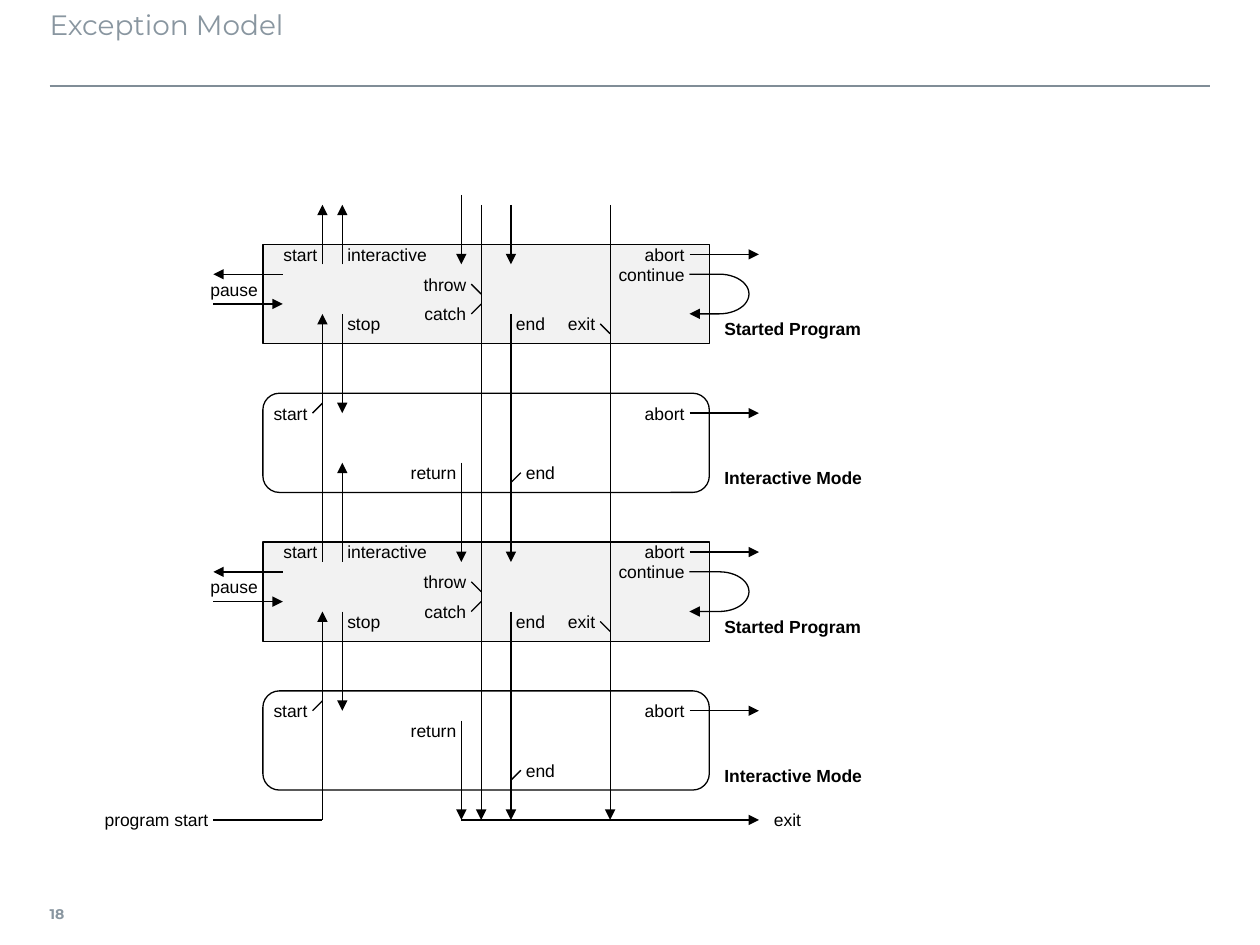
from math import cos, pi, sin

from lxml import etree
from pptx import Presentation, util as u
from pptx.dml.color import RGBColor
from pptx.enum import shapes, text
from pptx.oxml.ns import qn

W, H = u.Inches(10), u.Inches(7.5)
UNIT = W / 127            # grid step of the diagram
LEFT, TOP = 26.5, 24.64   # first box, in grid steps
COLS, ROWS = 45, 10       # size of each box
PITCH = 15                # rows from one box to the next
END = 58                  # row of the exit line
EDGE = W // 127 * 5       # side margin of the slide
INK, GREY, RULE, PALE = "000000", "8996A0", "808D97", "F2F2F2"
RIGHT, SIDE = text.PP_ALIGN.RIGHT, text.PP_ALIGN.LEFT


def color(code):
    return RGBColor.from_string(code)


def spot(box, col, row):
    """Turn a column and row of a box into slide units."""
    return round((box[0] + col) * UNIT), round((box[1] + row) * UNIT)


def style(part, width=0.75, code=INK, arrow=False):
    part.line.width = u.Pt(width)
    part.line.color.rgb = color(code)
    if arrow:
        tip = etree.SubElement(part.line._get_or_add_ln(), qn("a:tailEnd"))
        tip.set("type", "triangle")


def wire(slide, start, end, arrow=True, width=0.75, code=INK):
    line = slide.shapes.add_connector(
        shapes.MSO_CONNECTOR.STRAIGHT, *start, *end)
    style(line, width, code, arrow)
    etree.SubElement(line._element.spPr, qn("a:effectLst"))


def wires(slide, box, rows, arrow=True):
    for x1, y1, x2, y2 in rows:
        wire(slide, spot(box, x1, y1), spot(box, x2, y2), arrow)


def write(frame, words, size, font, code, pads, bold=None, align=SIDE):
    frame.margin_left, frame.margin_top, frame.margin_right, \
        frame.margin_bottom = [u.Inches(pad) for pad in pads]
    frame.text = words
    para = frame.paragraphs[0]
    para.alignment = align
    para.font.size, para.font.name = u.Pt(size), font
    para.font.bold = bold
    para.font.color.rgb = color(code)


def label(slide, box, words, col, row, align=SIDE, high=2, bold=None):
    """One line of text that starts, or ends if right-aligned, at col."""
    wide = max(5, 0.9 * len(words) + 2)
    if align == RIGHT:
        col -= wide
    area = slide.shapes.add_textbox(
        *spot(box, col, row), round(wide * UNIT), round(high * UNIT))
    frame = area.text_frame
    write(frame, words, 10, "Arial", INK, [0.04] * 4, bold, align)
    frame.word_wrap = False
    frame.vertical_anchor = text.MSO_ANCHOR.MIDDLE


def labels(slide, box, rows):
    for row in rows:
        label(slide, box, *row)


def panel(slide, box, kind, name, fill=None):
    """Outline of one state, with its name at the lower right."""
    part = slide.shapes.add_shape(
        kind, *spot(box, 0, 0), round(COLS * UNIT), round(ROWS * UNIT))
    part.shadow.inherit = False
    if fill:
        part.fill.solid()
        part.fill.fore_color.rgb = color(fill)
    else:
        part.fill.background()
    style(part)
    label(slide, box, name, 46, 7, high=3, bold=True)


def loop(slide, box):
    """Arrow that leaves at continue and comes back."""
    arc = [(46 + 3 * sin(pi * i / 24), 5 - 2 * cos(pi * i / 24))
           for i in range(25)]
    build = slide.shapes.build_freeform(*spot(box, 43, 3))
    build.add_line_segments(
        [spot(box, *point) for point in arc + [(43, 7)]], close=False)
    part = build.convert_to_shape()
    part.shadow.inherit = False
    part.fill.background()
    style(part, arrow=True)


def program(slide, box):
    panel(slide, box, shapes.MSO_SHAPE.RECTANGLE, "Started Program", PALE)
    labels(slide, box, [
        ("start", 6, 0, RIGHT), ("interactive", 8, 0),
        ("abort", 43, 0, RIGHT), ("continue", 43, 2, RIGHT),
        ("throw", 21, 3, RIGHT), ("catch", 21, 6, RIGHT),
        ("stop", 8, 7), ("end", 25, 7), ("exit", 34, 7, RIGHT),
        ("pause", 0, 3, RIGHT, 3)])
    wires(slide, box, [(43, 1, 50, 1), (2, 3, -5, 3), (-5, 6, 2, 6),
                       (8, 7, 8, 17)])
    wires(slide, box, [(22, 5, 21, 4), (21, 7, 22, 6), (35, 9, 34, 8)], False)
    loop(slide, box)


def mode(slide, box, back):
    """Interactive state; back is the row of its return label."""
    panel(slide, box, shapes.MSO_SHAPE.ROUNDED_RECTANGLE, "Interactive Mode")
    labels(slide, box, [
        ("start", 5, 1, RIGHT), ("abort", 43, 1, RIGHT),
        ("return", 20, back, RIGHT), ("end", 26, 7)])
    wires(slide, box, [(43, 2, 50, 2)])
    wires(slide, box, [(5, 2, 6, 1), (25, 9, 26, 8)], False)


def links(slide, box):
    """Arrows that run between the states."""
    lanes = [
        (6, [(2, -4), (32, 7), (END, 37)]),             # start
        (8, [(2, -4), (32, 22)]),                       # interactive
        (20, [(-5, 2), (22, 32), (48, END)]),           # return
        (22, [(-4, END)]),                              # throw and catch
        (25, [(-4, 2), (7, 32), (37, END)]),            # end
        (35, [(-4, END)]),                              # exit
    ]
    wires(slide, box, [(col, a, col, b) for col, runs in lanes
                       for a, b in runs])
    wires(slide, box, [(20, END, 50, END)])
    wires(slide, box, [(-5, END, 6, END)], False)
    label(slide, box, "program start", -5, END - 1, RIGHT)
    label(slide, box, "exit", 51, END - 1)


def frame(slide):
    """Title, rule and page number."""
    title = slide.shapes.title
    title.left, title.top = EDGE, u.Inches(0.01)
    title.width, title.height = W - 2 * EDGE, u.Inches(0.63)
    write(title.text_frame, "Exception Model", 16, "Montserrat", GREY,
          (0, 0.05, 0.1, 0.05))
    title.text_frame.vertical_anchor = text.MSO_ANCHOR.TOP
    rule = u.Inches(0.68)
    wire(slide, (EDGE, rule), (W - EDGE, rule), False, 1, RULE)
    page = slide.shapes.add_textbox(
        EDGE, u.Inches(7.06), u.Inches(0.35), u.Inches(0.39)).text_frame
    write(page, "18", 8, "Montserrat", GREY, (0, 0.05, 0.08, 0.05), True)
    page.word_wrap = False
    page.vertical_anchor = text.MSO_ANCHOR.MIDDLE


def main():
    deck = Presentation()
    deck.slide_width, deck.slide_height = W, H
    slide = deck.slides.add_slide(deck.slide_layouts[5])
    frame(slide)
    boxes = [(LEFT, TOP + i * PITCH) for i in range(4)]
    for box in boxes[::2]:
        program(slide, box)
    for box, back in zip(boxes[1::2], (7, 3)):
        mode(slide, box, back)
    links(slide, boxes[0])
    deck.save("out.pptx")


if __name__ == "__main__":
    main()
